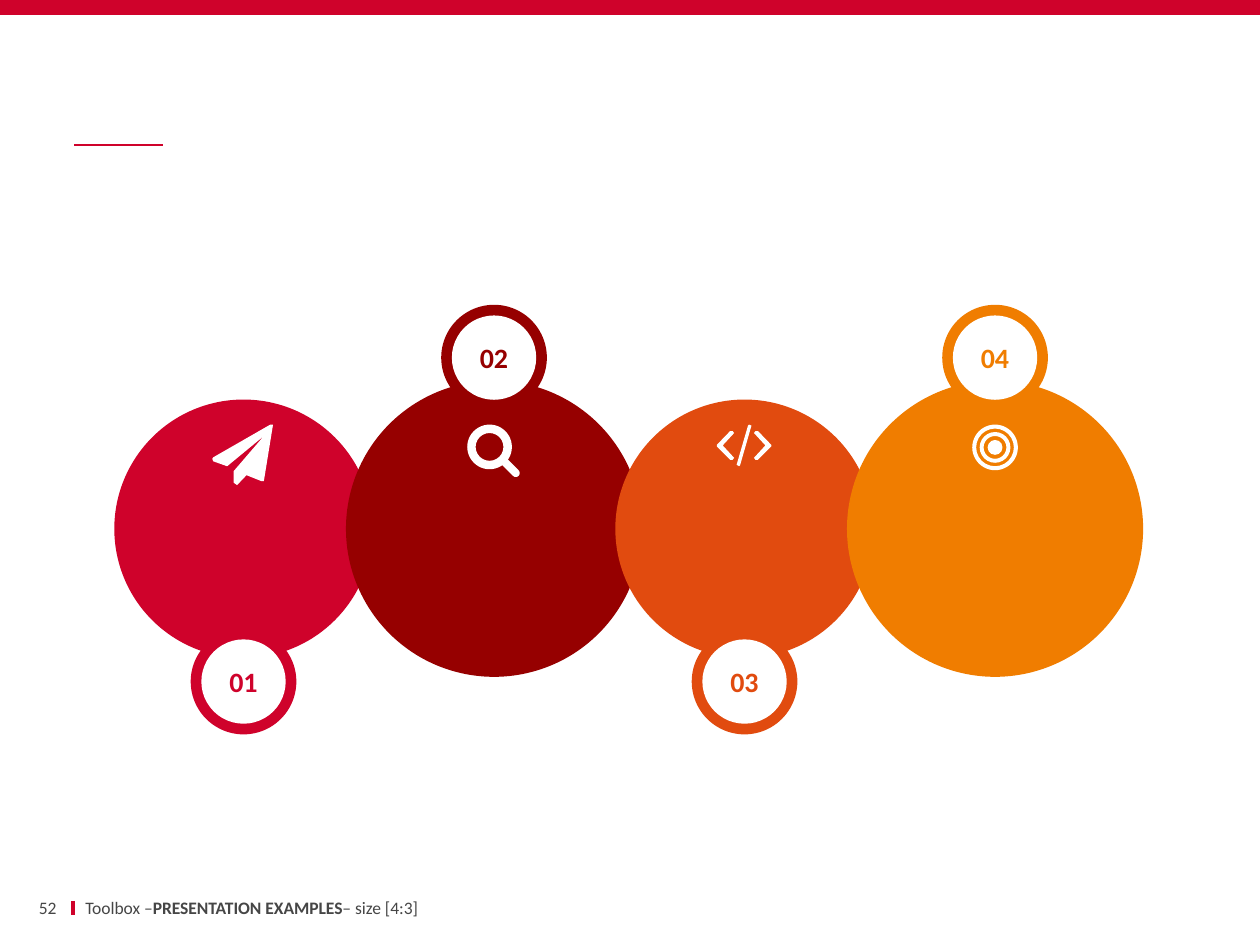
import pptx
import pptx.util
import pptx.dml.color
import pptx.enum.shapes
import pptx.enum.text
import pptx.oxml.ns
import lxml.etree

Cm = pptx.util.Cm
Pt = pptx.util.Pt
SHAPE = pptx.enum.shapes.MSO_SHAPE
ALIGN = pptx.enum.text.PP_ALIGN

COLORS = {
    "red": "CF022B",
    "maroon": "960000",
    "rust": "E14B0F",
    "orange": "F07D00",
    "white": "FFFFFF",
    "grey": "464646",
}
FONT = "Calibri"

# Icon outlines, in hundredths of a centimetre
PLANE = [[(122, 3), (104, 114), (99, 114), (69, 102), (50, 122), (43, 117), (43, 94),
          (104, 23), (30, 84), (2, 74), (0, 69), (2, 66), (117, 0), (122, 0)]]
LEFT_BRACKET = [(33, 71), (28, 71), (1, 44), (1, 41), (28, 13), (33, 13),
                (36, 17), (13, 42), (36, 67)]
RIGHT_BRACKET = [(112 - x, y) for x, y in LEFT_BRACKET]
SLASH = [(48, 82), (46, 84), (41, 81), (64, 2), (66, 0), (71, 2)]


def rgb(name):
    return pptx.dml.color.RGBColor.from_string(COLORS[name])


def paint(shape, color):
    shape.shadow.inherit = False
    shape.fill.solid()
    shape.fill.fore_color.rgb = rgb(color)
    shape.line.fill.background()
    return shape


def add_block(page, kind, left, top, width, height, color):
    shape = page.shapes.add_shape(kind, Cm(left), Cm(top), Cm(width), Cm(height))
    return paint(shape, color)


def add_disc(page, x, y, diameter, color, kind=SHAPE.OVAL):
    """Round shape centred on x, y."""
    return add_block(page, kind, x - diameter / 2, y - diameter / 2,
                     diameter, diameter, color)


def add_ring(page, x, y, diameter, thickness):
    ring = add_disc(page, x, y, diameter, "white", SHAPE.DONUT)
    ring.adjustments[0] = thickness / diameter


def add_rule(page, x1, y1, x2, y2, weight):
    rule = page.shapes.add_connector(pptx.enum.shapes.MSO_CONNECTOR.STRAIGHT,
                                     Cm(x1), Cm(y1), Cm(x2), Cm(y2))
    rule.line.color.rgb = rgb("red")
    rule.line.width = Pt(weight)
    lxml.etree.SubElement(rule._element.spPr, pptx.oxml.ns.qn("a:effectLst"))


def set_font(para, size, color, bold=None):
    para.font.name = FONT
    para.font.size = Pt(size)
    para.font.bold = bold
    para.font.color.rgb = rgb(color)


def add_outline(page, left, top, contours):
    builder = None
    for first, *rest in contours:
        if builder is None:
            builder = page.shapes.build_freeform(*first, scale=Cm(0.01))
        else:
            builder.move_to(*first)
        builder.add_line_segments(rest, close=True)
    paint(builder.convert_to_shape(Cm(left), Cm(top)), "white")


# Icons: each is placed from the top-left corner of its box
def plane_icon(page, left, top):
    add_outline(page, left, top, PLANE)


def code_icon(page, left, top):
    add_outline(page, left, top, [LEFT_BRACKET, SLASH, RIGHT_BRACKET])


def search_icon(page, left, top):
    add_ring(page, left + 0.45, top + 0.45, 0.9, 0.17)
    handle = add_block(page, SHAPE.ROUNDED_RECTANGLE, left + 0.59, top + 0.77,
                       0.52, 0.16, "white")
    handle.adjustments[0] = 0.5
    handle.rotation = 45


def target_icon(page, left, top):
    x, y = left + 0.46, top + 0.46
    add_ring(page, x, y, 0.92, 0.08)
    add_ring(page, x, y, 0.62, 0.08)
    add_disc(page, x, y, 0.3, "white")


def add_badge(page, x, y, number, color):
    add_disc(page, x, y, 2.13, color)
    inner = add_disc(page, x, y, 1.7, "white")
    frame = inner.text_frame
    frame.margin_left = frame.margin_right = 0
    frame.vertical_anchor = pptx.enum.text.MSO_ANCHOR.MIDDLE
    para = frame.paragraphs[0]
    para.text = number
    para.alignment = ALIGN.CENTER
    set_font(para, 16, color, True)


def add_chain(page, x, y, pitch):
    """Row of overlapping circles; x, y is the centre of the first."""
    # colour, diameter, badge offset, icon, icon offset
    small, large = (5.21, 3.08), (5.97, -3.45)
    steps = [
        ("red", small, plane_icon, -0.63),
        ("maroon", large, search_icon, -0.54),
        ("rust", small, code_icon, -0.57),
        ("orange", large, target_icon, -0.46),
    ]
    centers = [x + pitch * index for index in range(len(steps))]
    for center, (color, (diameter, _), _, _) in zip(centers, steps):
        add_disc(page, center, y, diameter, color)
    for number, (center, step) in enumerate(zip(centers, steps), 1):
        color, (_, badge_offset), icon, icon_offset = step
        add_badge(page, center, y + badge_offset, f"{number:02d}", color)
        icon(page, center + icon_offset, y - 2.1)


def add_footer_text(page, left, top, width, margin, spans, align):
    box = page.shapes.add_textbox(Cm(left), Cm(top), Cm(width), Cm(0.46))
    frame = box.text_frame
    frame.word_wrap = True
    frame.margin_left = frame.margin_right = Cm(margin)
    frame.vertical_anchor = pptx.enum.text.MSO_ANCHOR.MIDDLE
    para = frame.paragraphs[0]
    para.alignment = align
    set_font(para, 10, "grey")
    for text, bold in spans:
        span = para.add_run()
        span.text = text
        if bold:
            span.font.bold = True


def add_footer(page, left, top):
    add_rule(page, left + 1.14, top + 0.1, left + 1.14, top + 0.38, 2.25)
    add_footer_text(page, left, top, 0.81, 0, [("52", False)], ALIGN.RIGHT)
    add_footer_text(page, left + 1.14, top, 12.62, 0.25,
                    [("Toolbox –", False), ("PRESENTATION EXAMPLES", True),
                     ("– size [4:3]", False)], ALIGN.LEFT)


def add_header(page):
    add_block(page, SHAPE.RECTANGLE, 0, 0, 25.4, 0.3, "red")
    add_rule(page, 1.5, 2.92, 3.28, 2.92, 1)


def main():
    deck = pptx.Presentation()
    deck.slide_width, deck.slide_height = Cm(25.4), Cm(19.05)
    page = deck.slides.add_slide(deck.slide_layouts[6])
    add_header(page)
    add_chain(page, 4.91, 10.66, 5.05)
    add_footer(page, 0.33, 18.06)
    deck.save("out.pptx")


if __name__ == "__main__":
    main()
